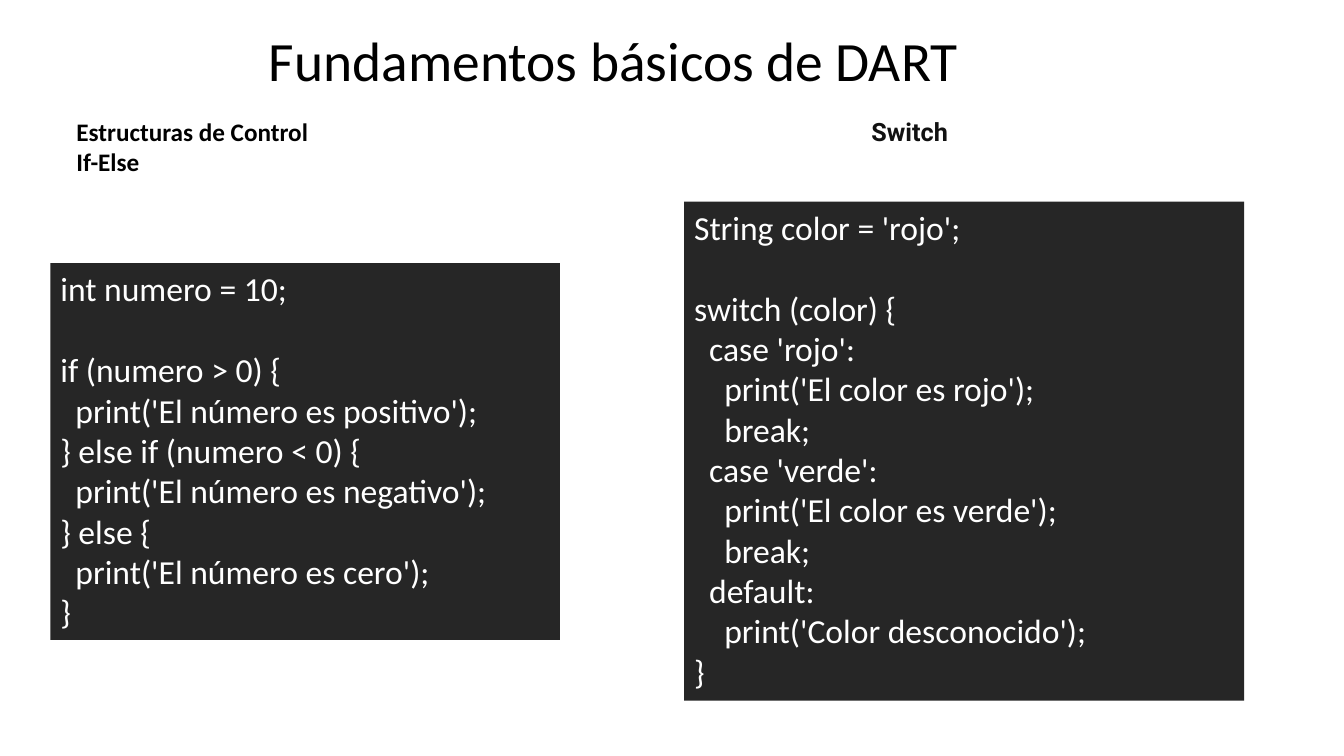
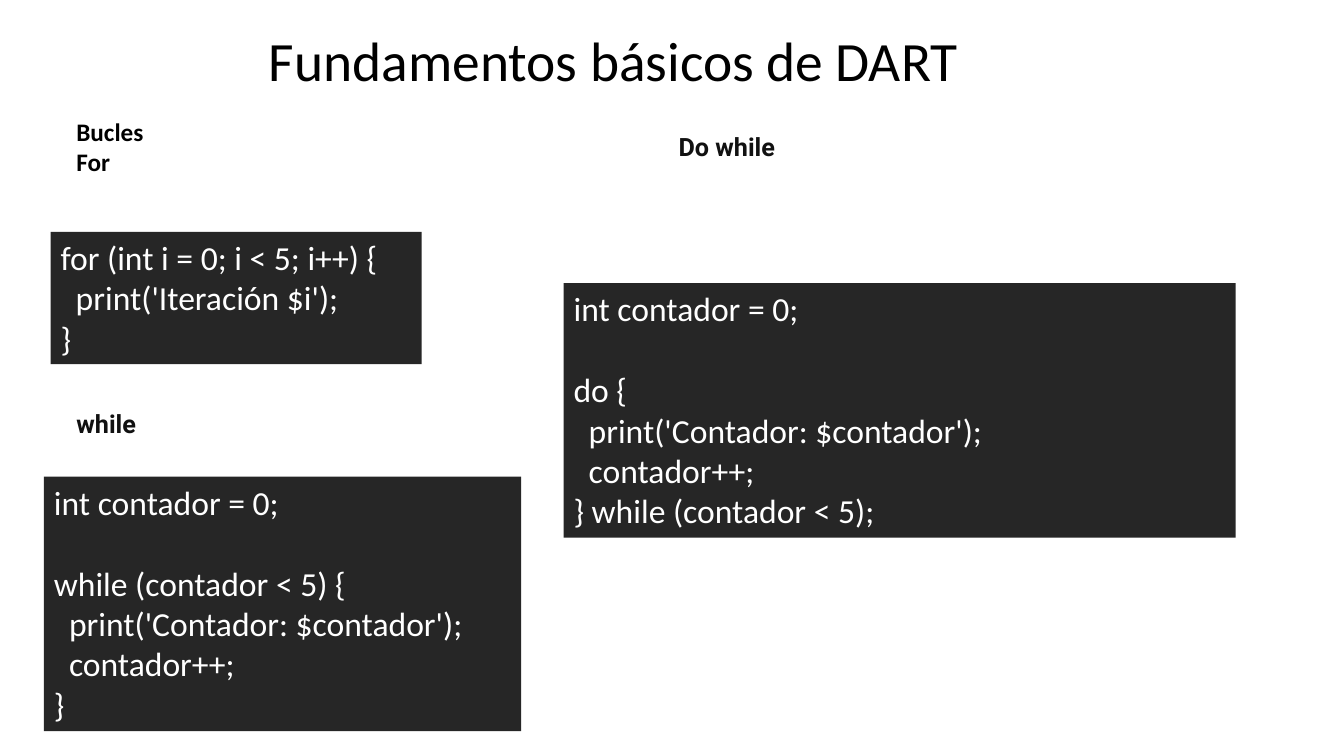
from dataclasses import dataclass

from pptx import Presentation
from pptx.dml.color import RGBColor as RGB
from pptx.enum.shapes import MSO_SHAPE as Shape
from pptx.enum.text import MSO_ANCHOR as Anchor, PP_ALIGN as Align
from pptx.util import Pt


@dataclass(frozen=True)
class Theme:
    font: str = "Calibri"
    alt: str = "Roboto"
    black: RGB = RGB(0, 0, 0)
    ink: RGB = RGB(0x11, 0x11, 0x11)
    panel: RGB = RGB(0x26, 0x26, 0x26)
    white: RGB = RGB(0xFF, 0xFF, 0xFF)
    title: float = 39.6
    head: float = 18
    code: float = 24
    row: float = 29.1    # height of a code line
    step: float = 5.4    # indent for each leading space
    pad: float = 7.2     # top and bottom insets of a panel


T = Theme()
TITLE = "Fundamentos básicos de DART"


def style(par, size, color, font=T.font, bold=False):
    par.alignment = Align.LEFT
    par.font.name, par.font.size = font, Pt(size)
    par.font.color.rgb, par.font.bold = color, bold


def label(slide, x, y, w, h):
    """Add a wrapping text box and return its text frame."""
    frame = slide.shapes.add_textbox(Pt(x), Pt(y), Pt(w), Pt(h)).text_frame
    frame.word_wrap = True
    return frame


def title(slide, x, y, w, h):
    frame = label(slide, x, y, w, h)
    frame.vertical_anchor = Anchor.MIDDLE
    frame.text = TITLE
    par = frame.paragraphs[0]
    style(par, T.title, T.black)
    par.line_spacing = 0.9


def topic(slide, x, y, text):
    """Black heading: the topic and its first structure."""
    frame = label(slide, x, y, 324.8, 51)
    frame.text = text
    for par in frame.paragraphs:
        style(par, T.head, T.black, bold=True)


def head(slide, x, y, text):
    """Heading of one further structure."""
    frame = label(slide, x, y, 243.4, 29)
    frame.text = text
    style(frame.paragraphs[0], T.head, T.ink, T.alt, True)


def code(slide, x, y, w, text):
    """Dark panel, as tall as its lines of code."""
    lines = text.strip().split("\n")
    high = len(lines) * T.row + T.pad
    box = slide.shapes.add_shape(Shape.RECTANGLE, Pt(x), Pt(y), Pt(w), Pt(high))
    box.shadow.inherit = False
    box.fill.solid()
    box.fill.fore_color.rgb = T.panel
    box.line.fill.background()
    frame = box.text_frame
    frame.word_wrap = True
    frame.vertical_anchor = Anchor.TOP
    # Empty lines become space before, leading spaces become indents
    rows = [line for line in lines if line]
    frame.text = "\n".join(row.lstrip() for row in rows)
    for row, par in zip(rows, frame.paragraphs):
        style(par, T.code, T.white)
        depth = len(row) - len(row.lstrip())
        props = par._p.get_or_add_pPr()
        props.set("marL", str(int(Pt(depth * T.step))))
        props.set("indent", "0")
        spot = lines.index(row)
        if spot and not lines[spot - 1]:
            par.space_before = Pt(T.row)


IF = """
int numero = 10;

if (numero > 0) {
  print('El número es positivo');
} else if (numero < 0) {
  print('El número es negativo');
} else {
  print('El número es cero');
}
"""

SWITCH = """
String color = 'rojo';

switch (color) {
  case 'rojo':
    print('El color es rojo');
    break;
  case 'verde':
    print('El color es verde');
    break;
  default:
    print('Color desconocido');
}
"""

FOR = """
for (int i = 0; i < 5; i++) {
  print('Iteración $i');
}
"""

WHILE = """
int contador = 0;

while (contador < 5) {
  print('Contador: $contador');
  contador++;
}
"""

DO = """
int contador = 0;

do {
  print('Contador: $contador');
  contador++;
} while (contador < 5);
"""

# For each slide: topic, headings (x, y, text), panels (x, y, width, code)
SLIDES = [
    ("Estructuras de Control\nIf-Else",
     [(615.4, 79.2, "Switch")],
     [(36, 188, 364, IF), (488.7, 144, 400, SWITCH)]),
    ("Bucles\nFor",
     [(477.6, 90, "Do while"), (47.5, 288, "while")],
     [(36.2, 165.6, 265, FOR), (31.4, 340.4, 340.8, WHILE),
      (402.6, 202.3, 480, DO)]),
]


def lesson(deck, name, heads, codes):
    slide = deck.slides.add_slide(deck.slide_layouts[6])
    title(slide, 185, 21.6, 536, 48)
    topic(slide, 47.5, 79.2, name)
    for item in heads:
        head(slide, *item)
    for item in codes:
        code(slide, *item)


def main():
    deck = Presentation()
    deck.slide_width, deck.slide_height = Pt(960), Pt(540)
    for parts in SLIDES:
        lesson(deck, *parts)
    deck.save("out.pptx")


if __name__ == "__main__":
    main()
